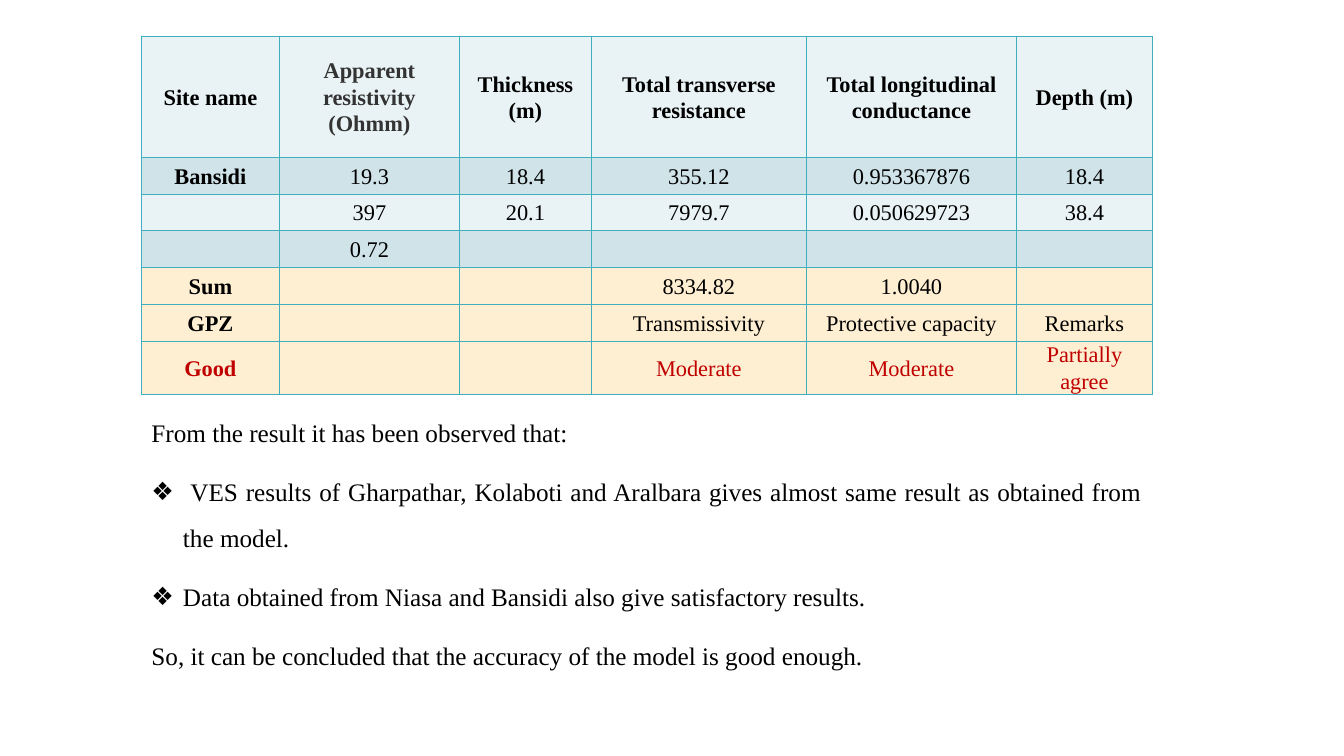
from lxml import etree
from pptx import Presentation
from pptx import util as u
from pptx.dml.color import RGBColor
from pptx.enum import text
from pptx.oxml import ns

BLACK, GREY, RED = "000000", "333333", "C00000"
PALE, BLUE, CREAM, TEAL = "E9F2F4", "CFE3E8", "FEEFD2", "41AEBD"


def colour(hex_string):
    return RGBColor.from_string(hex_string)


def add_element(parent, tag, **attributes):
    values = {key: str(value) for key, value in attributes.items()}
    return etree.SubElement(parent, ns.qn(tag), values)


class SlideBuilder:
    """Holds the slide and its style; lengths are in points."""

    font = "Times New Roman"

    def __init__(self, slide):
        self.slide = slide

    def style(self, paragraph, size, hex_string=BLACK, bold=False):
        for run in paragraph.runs:
            run.font.name = self.font
            run.font.size = u.Pt(size)
            run.font.bold = bold
            run.font.color.rgb = colour(hex_string)

    def space(self, paragraph, align, line, after):
        paragraph.alignment = align
        paragraph.line_spacing = line
        paragraph.space_before = u.Pt(0)
        paragraph.space_after = u.Pt(after)

    def cell(self, cell, words, fill, hex_string, bold):
        properties = cell._tc.get_or_add_tcPr()
        for side in ("a:lnL", "a:lnR", "a:lnT", "a:lnB"):
            line = add_element(properties, side, w=u.Pt(1))
            add_element(add_element(line, "a:solidFill"), "a:srgbClr", val=TEAL)
        cell.fill.solid()
        cell.fill.fore_color.rgb = colour(fill)
        cell.vertical_anchor = text.MSO_ANCHOR.MIDDLE
        cell.margin_left = cell.margin_right = u.Pt(5)
        cell.margin_top = cell.margin_bottom = 0
        if words:
            cell.text_frame.text = words
            paragraph = cell.text_frame.paragraphs[0]
            self.space(paragraph, text.PP_ALIGN.CENTER, 1.07, 8)
            self.style(paragraph, 16, hex_string, bold)

    def table(self, left, top, widths, heights, rows, fills):
        frame = self.slide.shapes.add_table(
            len(rows), len(widths), u.Pt(left), u.Pt(top),
            u.Pt(sum(widths)), u.Pt(sum(heights)))
        table = frame.table
        table.horz_banding = False
        for column, width in zip(table.columns, widths):
            column.width = u.Pt(width)
        for r, (row, height) in enumerate(zip(rows, heights)):
            table.rows[r].height = u.Pt(height)
            for c, words in enumerate(row):
                hex_string = RED if r == len(rows) - 1 else BLACK
                if (r, c) == (0, 1):
                    hex_string = GREY
                self.cell(table.cell(r, c), words, fills[r], hex_string,
                          bold=r == 0 or c == 0)

    def body(self, left, top, width, height, items):
        """Fill the body placeholder with (words, bulleted) items."""
        body = self.slide.placeholders[1]
        body.left, body.top = u.Pt(left), u.Pt(top)
        body.width, body.height = u.Pt(width), u.Pt(height)
        frame = body.text_frame
        frame.word_wrap = True
        frame.auto_size = text.MSO_AUTO_SIZE.NONE
        frame.vertical_anchor = text.MSO_ANCHOR.TOP
        frame.text = "\n".join(words for words, _ in items)
        for paragraph, (_, bulleted) in zip(frame.paragraphs, items):
            properties = paragraph._p.get_or_add_pPr()
            indent = u.Pt(22.5) if bulleted else 0
            properties.set("marL", str(indent))
            properties.set("indent", str(-indent))
            if bulleted:
                add_element(properties, "a:buChar", char="❖")
            else:
                add_element(properties, "a:buNone")
            self.space(paragraph, text.PP_ALIGN.JUSTIFY, 1.5, 10)
            self.style(paragraph, 18)

    def drop_title(self):
        title = self.slide.shapes.title._element
        title.getparent().remove(title)


def main():
    deck = Presentation()
    deck.slide_width, deck.slide_height = u.Pt(960), u.Pt(540)
    builder = SlideBuilder(deck.slides.add_slide(deck.slide_layouts[1]))
    builder.drop_title()

    # Sounding results for the site
    site_results = [
        ["Site name", "Apparent resistivity (Ohmm)", "Thickness (m)",
         "Total transverse resistance", "Total longitudinal conductance",
         "Depth (m)"],
        ["Bansidi", "19.3", "18.4", "355.12", "0.953367876", "18.4"],
        ["", "397", "20.1", "7979.7", "0.050629723", "38.4"],
        ["", "0.72", "", "", "", ""],
        ["Sum", "", "", "8334.82", "1.0040", ""],
        ["GPZ", "", "", "Transmissivity", "Protective capacity", "Remarks"],
        ["Good", "", "", "Moderate", "Moderate", "Partially agree"],
    ]
    builder.table(
        101, 26.2, widths=[98.6, 128.6, 94.3, 153.5, 150.2, 97],
        heights=[86.2] + [26.3] * 6, rows=site_results,
        fills=[PALE, BLUE, PALE, BLUE] + [CREAM] * 3)

    # Observations and conclusion
    builder.body(101, 283.6, 722, 197, [
        ("From the result it has been observed that:", False),
        (" VES results of Gharpathar, Kolaboti and Aralbara gives almost "
         "same result as obtained from the model.", True),
        ("Data obtained from Niasa and Bansidi also give satisfactory "
         "results.", True),
        ("So, it can be concluded that the accuracy of the model is good "
         "enough.", False),
    ])

    deck.save("out.pptx")


if __name__ == "__main__":
    main()
